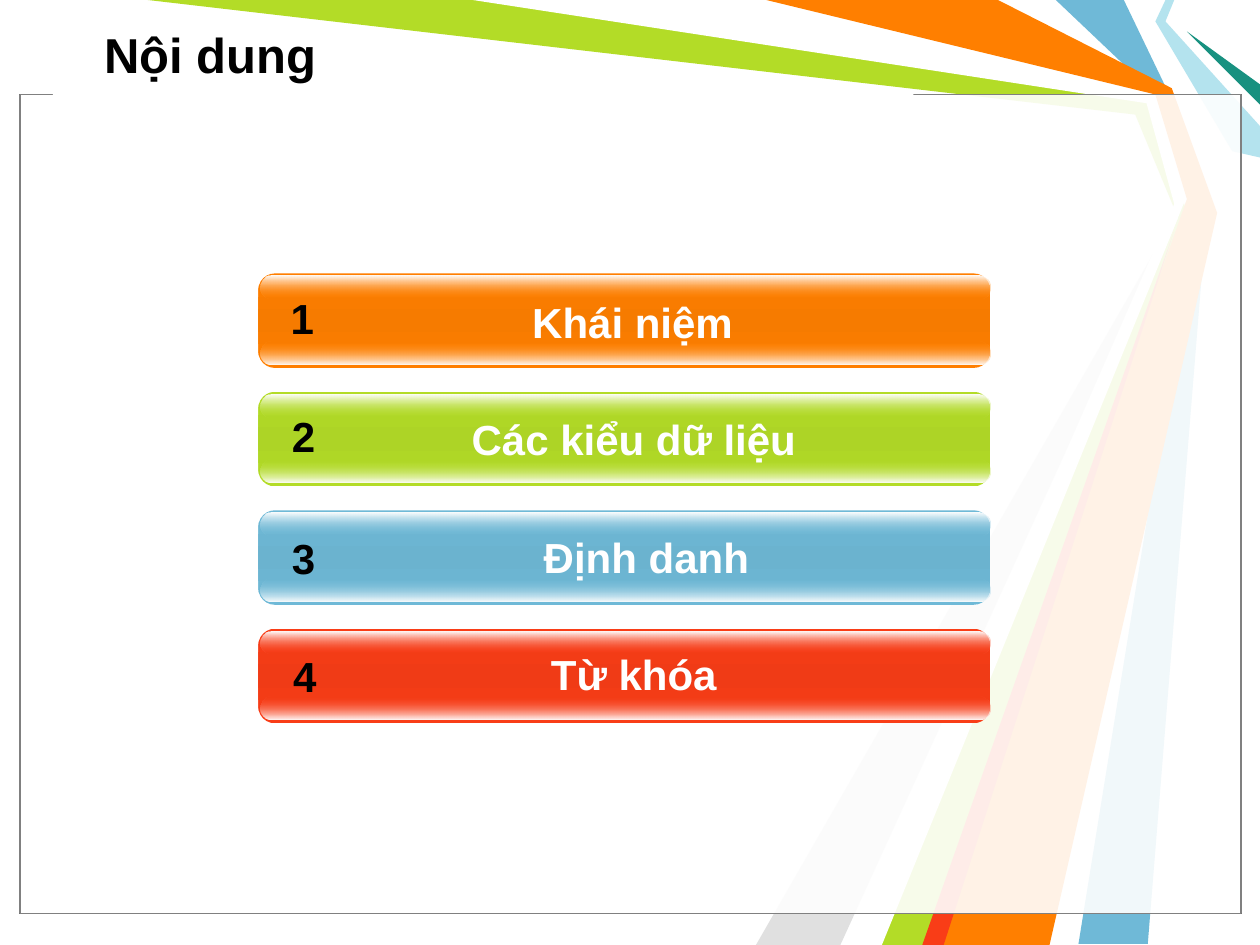
"""Build the "Nội dung" agenda slide with four glossy topic bars."""
from lxml.etree import SubElement
from pptx import Presentation
from pptx.dml.color import RGBColor
from pptx.enum.shapes import MSO_SHAPE as Preset
from pptx.enum.text import MSO_ANCHOR as Anchor, PP_ALIGN as Align
from pptx.oxml.ns import qn
from pptx.util import Inches, Pt

WHITE = RGBColor(0xFF, 0xFF, 0xFF)
BLACK = RGBColor(0x00, 0x00, 0x00)
GRAY = RGBColor(0x80, 0x80, 0x80)
SILVER = RGBColor(0xE0, 0xE0, 0xE0)
BLUE = RGBColor(0x6F, 0xB9, 0xD7)
BLUE_MID = RGBColor(0x6B, 0xB3, 0xCF)
GREEN = RGBColor(0xB3, 0xDC, 0x27)
GREEN_MID = RGBColor(0xAD, 0xD4, 0x26)
ORANGE = RGBColor(0xFF, 0x7F, 0x00)
ORANGE_MID = RGBColor(0xF6, 0x7B, 0x00)
RED = RGBColor(0xF9, 0x3D, 0x17)
RED_MID = RGBColor(0xF0, 0x3B, 0x16)
AQUA = RGBColor(0xB4, 0xE3, 0xEE)
TEAL = RGBColor(0x18, 0x91, 0x80)

deck = Presentation()
deck.slide_width, deck.slide_height = Inches(10), Inches(7.5)
slide = deck.slides.add_slide(deck.slide_layouts[6])
shapes = slide.shapes


def add_text(text, left, top, width, height, align, size, color):
    box = shapes.add_textbox(Inches(left), Inches(top), Inches(width), Inches(height))
    box.text_frame.word_wrap = True
    box.text_frame.vertical_anchor = Anchor.MIDDLE
    paragraph = box.text_frame.paragraphs[0]
    paragraph.alignment = align
    run = paragraph.add_run()
    run.text = text
    for key, value in {"name": "Arial", "size": Pt(size), "bold": True}.items():
        setattr(run.font, key, value)
    run.font.color.rgb = color


def add_gradient_bar(left, top, width, height, roundness, stops):
    bar = shapes.add_shape(Preset.ROUNDED_RECTANGLE, Inches(left), Inches(top),
                           Inches(width), Inches(height))
    bar.adjustments[0] = roundness
    bar.shadow.inherit = False
    bar.line.fill.background()
    bar.fill.gradient()
    bar.fill.gradient_angle = 270
    stop_list = bar._element.spPr.find(qn("a:gradFill")).find(qn("a:gsLst"))
    for old_stop in list(stop_list):
        stop_list.remove(old_stop)
    for position, color, opacity in stops:
        stop = SubElement(stop_list, qn("a:gs"), pos=str(position * 1000))
        tint = SubElement(stop, qn("a:srgbClr"), val=str(color))
        if opacity < 100:
            SubElement(tint, qn("a:alpha"), val=str(opacity * 1000))


ribbons = [
    (BLUE, [(8.92, 0), (9.29, 0.77), (9.58, 1.67), (9.11, 7.49), (8.56, 7.49),
            (9.5, 1.67), (9.17, 0.75), (8.38, 0)]),
    (GREEN, [(1.17, 0), (3.83, 0), (9.14, 0.78), (9.42, 1.69), (7.42, 7.5),
             (6.92, 7.5), (9.35, 1.73), (9.01, 0.91)]),
    (SILVER, [(6.67, 7.5), (9.27, 1.81), (6, 7.5)]),
    (WHITE, [(3.75, 0), (9.1, 0.82), (9.32, 1.62), (6.75, 7.5), (7, 7.5),
             (9.41, 1.58), (9.17, 0.75), (6, 0)]),
    (AQUA, [(9.25, 0), (9.17, 0.17), (9.78, 1.2), (10, 1.25), (10, 1),
            (9.25, 0.17), (9.32, 0)]),
    (TEAL, [(10, 0.83), (9.42, 0.25), (10, 0.67)]),
    (ORANGE, [(6.08, 0), (7.92, 0), (9.3, 0.7), (9.66, 1.69), (8.33, 7.5),
              (7.33, 7.5), (9.42, 1.58), (9.17, 0.75)]),
    (RED, [(7.32, 7.5), (9.32, 1.83), (7.49, 7.5)]),
]
for color, points in ribbons:
    corners = [(Inches(x), Inches(y)) for x, y in points]
    outline = shapes.build_freeform(*corners[0])
    outline.add_line_segments(corners[1:], close=True)
    ribbon = outline.convert_to_shape()
    ribbon.shadow.inherit = False
    ribbon.fill.solid()
    ribbon.fill.fore_color.rgb = color
    ribbon.line.fill.background()

panels = [
    (0.16, 0.75, 9.69, 6.5, 69, BLACK),
    (0.16, 0.75, 9.69, 6.5, 69, GRAY),
    (0.42, 0.74, 6.83, 0.17, 100, None),
]
for left, top, width, height, opacity, border in panels:
    panel = shapes.add_shape(Preset.RECTANGLE, Inches(left), Inches(top),
                             Inches(width), Inches(height))
    panel.shadow.inherit = False
    panel.fill.solid()
    panel.fill.fore_color.rgb = WHITE
    if border is None:
        panel.line.fill.background()
    else:
        panel.line.color.rgb = border
        panel.line.width = Pt(0.75)
        tint = panel._element.spPr.find(qn("a:solidFill"))[0]
        SubElement(tint, qn("a:alpha"), val=str(opacity * 1000))

add_text("Nội dung", 0.73, 0.08, 9.11, 0.69, Align.LEFT, 28, BLACK)

topics = [
    ("Khái niệm", ORANGE, ORANGE_MID, 2.56, 2.3, 2.19, 2.27),
    ("Các kiểu dữ liệu", GREEN, GREEN_MID, 2.57, 3.23, 2.2, 3.21),
    ("Định danh", BLUE, BLUE_MID, 2.67, 4.17, 2.2, 4.18),
    ("Từ khóa", RED, RED_MID, 2.57, 5.1, 2.21, 5.11),
]
FIRST_TOP, PITCH = 2.17, 0.94
for index, (topic, color, middle, topic_left, topic_top, number_left, number_top) in enumerate(topics):
    top = FIRST_TOP + index * PITCH
    add_gradient_bar(2.05, top, 5.81, 0.75, 0.175,
                     [(0, color, 100), (50, middle, 100), (100, color, 100)])
    add_gradient_bar(2.07, top + 0.54, 5.79, 0.18, 0.5, [(0, color, 0), (100, WHITE, 100)])
    add_gradient_bar(2.07, top + 0.02, 5.79, 0.18, 0.5, [(0, WHITE, 100), (100, color, 0)])
    add_text(topic, topic_left, topic_top, 4.92, 0.5, Align.CENTER, 24, WHITE)
    add_text(str(index + 1), number_left, number_top, 0.42, 0.5, Align.CENTER, 24, BLACK)

deck.save("out.pptx")
